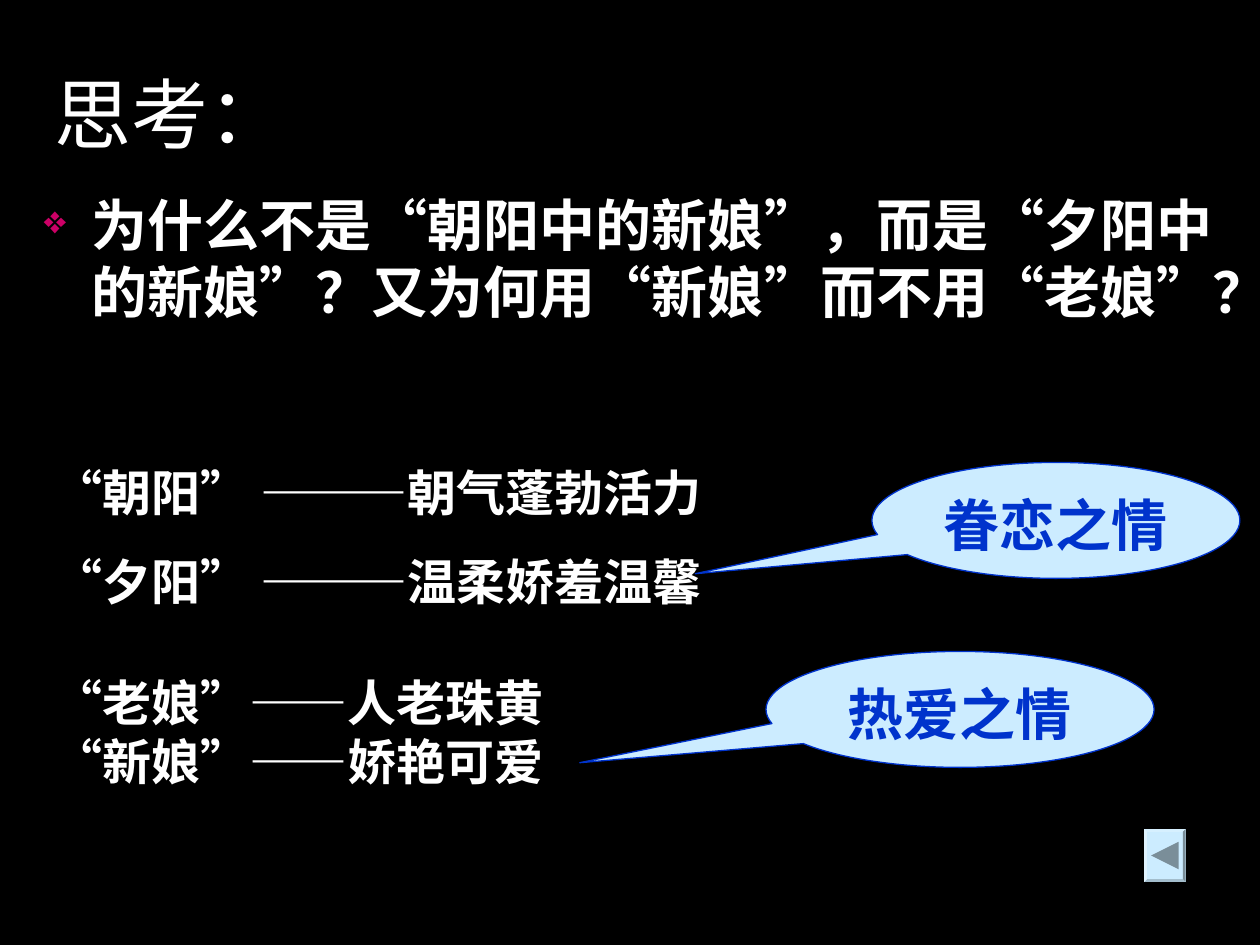
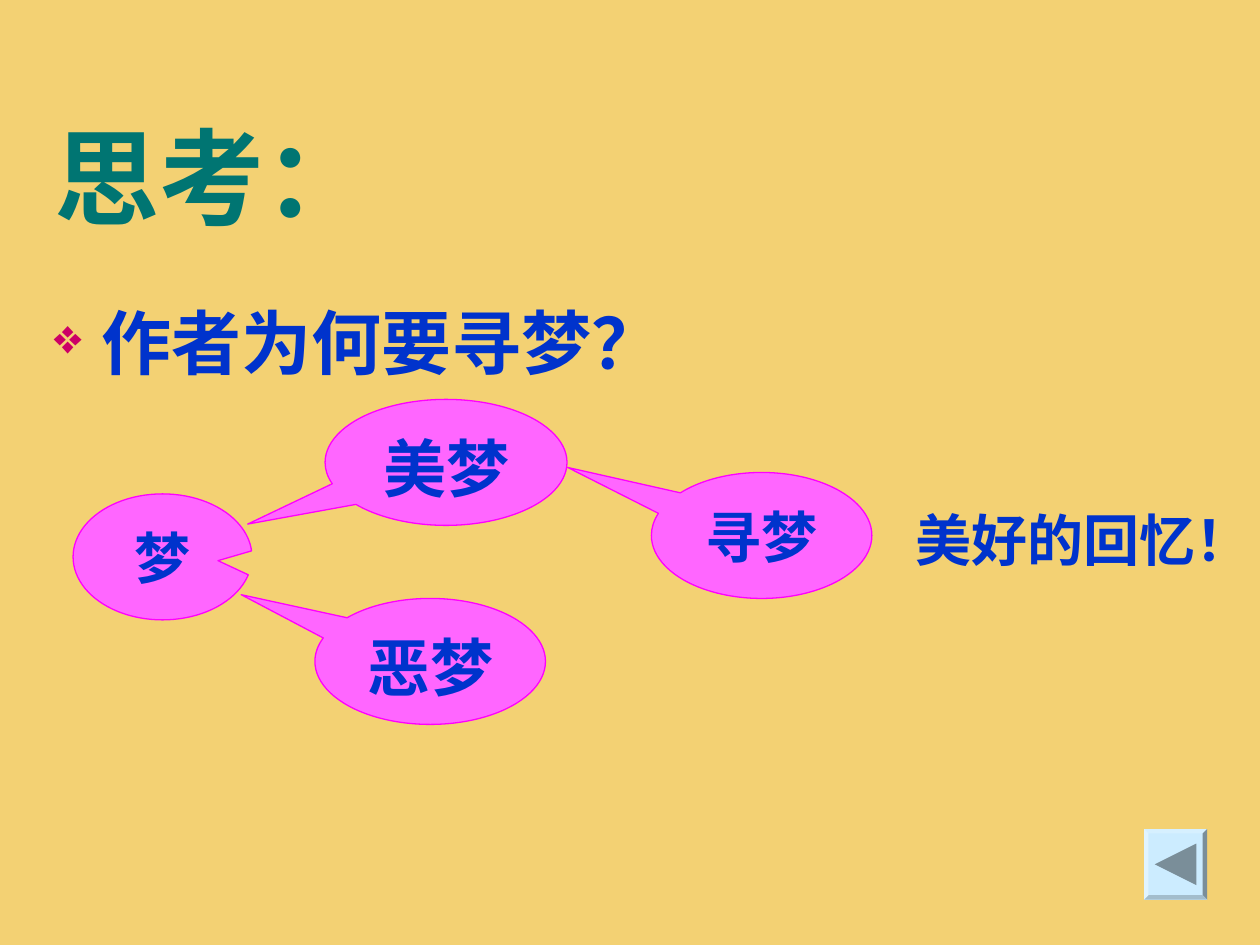
"""Build two discussion slides with callouts and a back button."""
from dataclasses import dataclass

import pptx
import pptx.dml.color
import pptx.enum.shapes
import pptx.enum.text
import pptx.oxml.ns
import pptx.util
from lxml import etree

Inches = pptx.util.Inches
Pt = pptx.util.Pt


@dataclass(frozen=True)
class Theme:
    latin: str = "Arial"
    asian: str = "Noto Sans CJK SC"
    white: str = "FFFFFF"
    blue: str = "0033CC"
    teal: str = "007572"
    bullet: str = "CC0066"
    ice: str = "CCECFF"
    pink: str = "FF66FF"
    magenta: str = "FF00FF"
    bevel_top: str = "D6F0FF"
    bevel_right: str = "7A8E99"
    bevel_bottom: str = "A3BDCC"
    bevel_left: str = "E0F4FF"
    small: int = 28
    medium: int = 32
    large: int = 36
    question: int = 40
    title: int = 44
    big_title: int = 60
    line_height: float = 1.2


THEME = Theme()

SLIDES = [
    {
        "background": "000000",
        "title": {"text": "思考：", "box": (0.33, 0.25, 9.34, 1.25),
                  "size": THEME.title, "color": THEME.white, "bold": False},
        "texts": [
            {"lines": ["为什么不是“朝阳中的新娘”，而是“夕阳中的新娘”？又为何用“新娘”而不用“老娘”？"],
             "box": (0.25, 1.42, 9.58, 1.33), "size": THEME.medium,
             "color": THEME.white, "bullet": True},
            {"lines": ["“朝阳” ———朝气蓬勃活力", "“夕阳” ———温柔娇羞温馨"],
             "box": (0.33, 3.58, 5.75, 1.28), "size": THEME.small,
             "color": THEME.white, "gap": 17.5},
            {"lines": ["“老娘”——人老珠黄", "“新娘”——娇艳可爱"],
             "box": (0.33, 5.25, 4.8, 1.04), "size": THEME.small,
             "color": THEME.white, "latin": THEME.asian},
        ],
        "callout_colors": (THEME.ice, THEME.blue),
        "callouts": [
            ("眷恋之情", (6.92, 3.67, 2.92, 0.92), (-0.98, 0.46), THEME.medium),
            ("热爱之情", (6.08, 5.17, 3.08, 0.92), (-0.98, 0.46), THEME.medium),
        ],
        "button": (9.08, 6.58, 0.33, 0.42),
    },
    {
        "background": "F3D173",
        "title": {"text": "思考：", "box": (0.33, 0.75, 9.34, 1.25),
                  "size": THEME.big_title, "color": THEME.teal, "bold": True},
        "texts": [
            {"lines": ["作者为何要寻梦？"], "box": (0.33, 2.42, 9.67, 1.33),
             "size": THEME.question, "color": THEME.blue, "bullet": True,
             "latin": THEME.asian, "spacing": 0.8},
            {"lines": ["美好的回忆！"], "box": (7.17, 3.92, 3.25, 0.64),
             "size": THEME.medium, "color": THEME.blue},
        ],
        "callout_colors": (THEME.pink, THEME.magenta),
        "callouts": [
            ("梦", (0.58, 3.92, 1.42, 1), (0.31, 0.03), THEME.medium),
            ("寻梦", (5.17, 3.75, 1.75, 1), (-0.88, -0.54), THEME.medium),
            ("美梦", (2.58, 3.17, 1.92, 1), (-0.82, 0.49), THEME.large),
            ("恶梦", (2.5, 4.75, 1.83, 1), (-0.82, -0.53), THEME.large),
        ],
        "button": (9.08, 6.58, 0.5, 0.56),
    },
]


def rgb(value):
    return pptx.dml.color.RGBColor.from_string(value)


def inches(box):
    return [Inches(length) for length in box]


def add_element(parent, tag, **attributes):
    return etree.SubElement(parent, pptx.oxml.ns.qn(tag), attributes)


def add_bullet(paragraph):
    properties = paragraph._p.get_or_add_pPr()
    properties.set("marL", str(Inches(0.38)))
    properties.set("indent", str(-Inches(0.38)))
    color = add_element(properties, "a:buClr")
    add_element(color, "a:srgbClr", val=THEME.bullet)
    add_element(properties, "a:buSzPct", val="70000")
    add_element(properties, "a:buChar", char="❖")


def write(paragraph, text, size, color, bold=True, latin=THEME.latin, spacing=1):
    paragraph.line_spacing = Pt(size * THEME.line_height * spacing)
    run = paragraph.add_run()
    run.text = text
    run.font.size = Pt(size)
    run.font.bold = bold
    run.font.name = latin
    run.font.color.rgb = rgb(color)
    add_element(run._r.get_or_add_rPr(), "a:ea", typeface=THEME.asian)


def prepare_frame(frame, anchor):
    frame.word_wrap = True
    frame.auto_size = pptx.enum.text.MSO_AUTO_SIZE.NONE
    frame.vertical_anchor = anchor
    frame.margin_left = frame.margin_right = Inches(0.1)
    frame.margin_top = Inches(0.09)
    frame.margin_bottom = Inches(0.05)


def set_title(slide, text, box, size, color, bold):
    title = slide.shapes.title
    title.left, title.top, title.width, title.height = inches(box)
    prepare_frame(title.text_frame, pptx.enum.text.MSO_ANCHOR.MIDDLE)
    paragraph = title.text_frame.paragraphs[0]
    paragraph.alignment = pptx.enum.text.PP_ALIGN.LEFT
    write(paragraph, text, size, color, bold)


def add_text(slide, lines, box, size, color, bullet=False, gap=0, **style):
    frame = slide.shapes.add_textbox(*inches(box)).text_frame
    prepare_frame(frame, pptx.enum.text.MSO_ANCHOR.TOP)
    for index, line in enumerate(lines):
        paragraph = frame.add_paragraph() if index else frame.paragraphs[0]
        if bullet:
            add_bullet(paragraph)
        if index:
            paragraph.space_before = Pt(gap)
        write(paragraph, line, size, color, **style)


def add_callout(slide, colors, text, box, tip, size):
    fill, line = colors
    shape = slide.shapes.add_shape(
        pptx.enum.shapes.MSO_SHAPE.OVAL_CALLOUT, *inches(box))
    shape.adjustments[0], shape.adjustments[1] = tip
    shape.shadow.inherit = False
    shape.fill.solid()
    shape.fill.fore_color.rgb = rgb(fill)
    shape.line.color.rgb = rgb(line)
    shape.line.width = Pt(0.75)
    prepare_frame(shape.text_frame, pptx.enum.text.MSO_ANCHOR.TOP)
    paragraph = shape.text_frame.paragraphs[0]
    paragraph.alignment = pptx.enum.text.PP_ALIGN.CENTER
    write(paragraph, text, size, THEME.blue)


def add_polygon(slide, points, color):
    start, *others = [inches(point) for point in points]
    builder = slide.shapes.build_freeform(*start, scale=1.0)
    builder.add_line_segments(others, close=True)
    shape = builder.convert_to_shape()
    shape.shadow.inherit = False
    shape.fill.solid()
    shape.fill.fore_color.rgb = rgb(color)
    shape.line.fill.background()


def corners(left, top, width, height, inset=0):
    right, bottom = left + width - inset, top + height - inset
    left, top = left + inset, top + inset
    return [(left, top), (right, top), (right, bottom), (left, bottom)]


def add_back_button(slide, box):
    left, top, width, height = box
    outer = corners(*box)
    inner = corners(*box, inset=width * 0.07)
    add_polygon(slide, outer, THEME.ice)
    bevels = (THEME.bevel_top, THEME.bevel_right,
              THEME.bevel_bottom, THEME.bevel_left)
    for side, color in enumerate(bevels):
        following = (side + 1) % len(outer)
        add_polygon(slide, [outer[side], outer[following],
                            inner[following], inner[side]], color)
    middle_x, middle_y = left + width / 2, top + height / 2
    reach = width * 0.33
    add_polygon(slide, [(middle_x - reach, middle_y),
                        (middle_x + reach, middle_y - reach),
                        (middle_x + reach, middle_y + reach)],
                THEME.bevel_right)


def build_slide(presentation, content):
    slide = presentation.slides.add_slide(presentation.slide_layouts[5])
    slide.background.fill.solid()
    slide.background.fill.fore_color.rgb = rgb(content["background"])
    set_title(slide, **content["title"])
    for text in content["texts"]:
        add_text(slide, **text)
    for callout in content["callouts"]:
        add_callout(slide, content["callout_colors"], *callout)
    add_back_button(slide, content["button"])


def main():
    presentation = pptx.Presentation()
    presentation.slide_width = Inches(10)
    presentation.slide_height = Inches(7.5)
    for content in SLIDES:
        build_slide(presentation, content)
    presentation.save("out.pptx")


if __name__ == "__main__":
    main()
